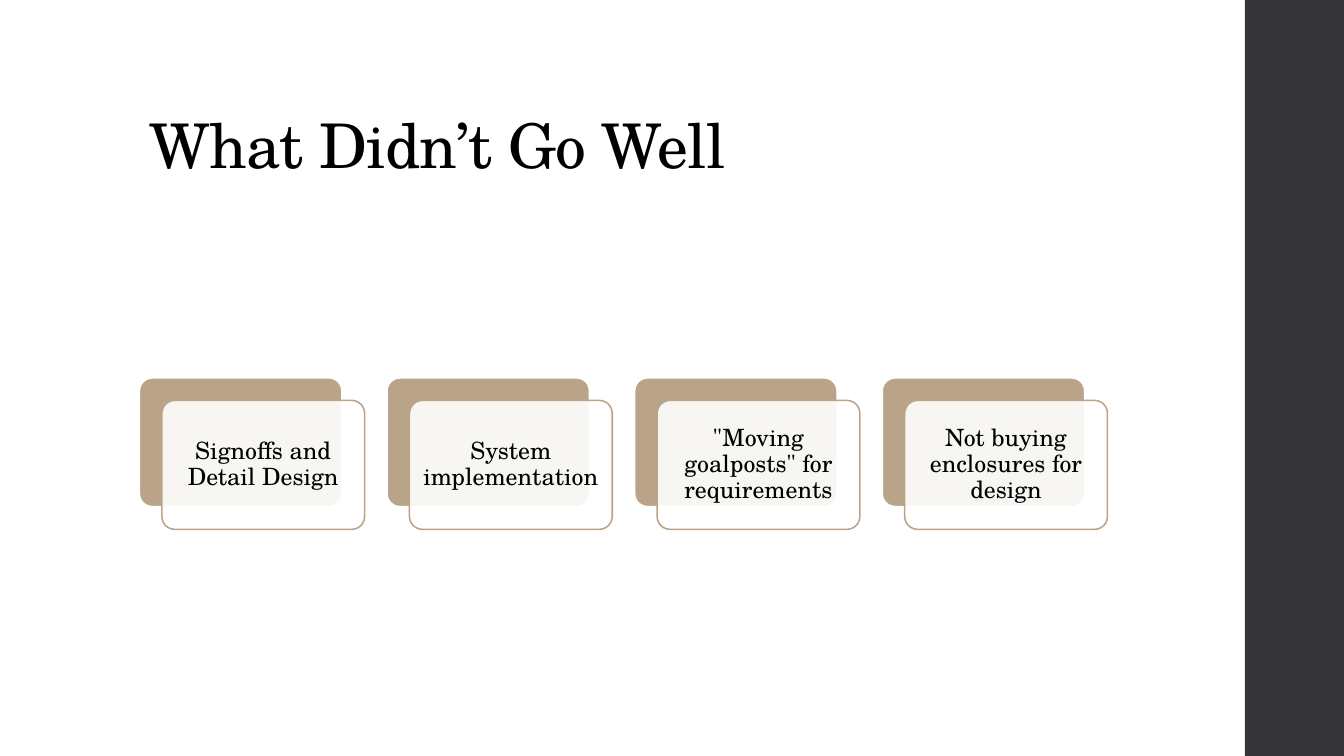
from lxml.etree import SubElement
from pptx import Presentation
from pptx.dml.color import RGBColor
from pptx.enum.shapes import MSO_SHAPE
from pptx.enum.text import MSO_ANCHOR, PP_ALIGN
from pptx.oxml.ns import qn
from pptx.util import Cm, Pt

WHITE = RGBColor(0xFF, 0xFF, 0xFF)
BLACK = RGBColor(0, 0, 0)
TAN = RGBColor(0xB9, 0xA4, 0x89)
CHARCOAL = RGBColor(0x35, 0x35, 0x37)
FONT = "TeX Gyre Schola"

SLIDE_WIDTH, SLIDE_HEIGHT = Cm(33.87), Cm(19.05)
CARD_WIDTH, CARD_HEIGHT = Cm(5.11), Cm(3.25)
CARD_PITCH = Cm(6.24)
CARD_OFFSET = Cm(0.57)

ISSUES = [
    "Signoffs and Detail Design",
    "System implementation",
    '"Moving goalposts" for requirements',
    "Not buying enclosures for design",
]


def write(frame, text, size):
    paragraph = frame.paragraphs[0]
    paragraph.line_spacing = 0.9
    run = paragraph.add_run()
    run.text = text
    run.font.name = FONT
    run.font.size = Pt(size)
    run.font.color.rgb = BLACK
    return paragraph, run


def add_title(slide, left, top, width, height):
    title = slide.shapes.title
    title.left, title.top, title.width, title.height = left, top, width, height
    title.text_frame.vertical_anchor = MSO_ANCHOR.BOTTOM
    paragraph, run = write(title.text_frame, "What Didn’t Go Well", 44)
    paragraph.alignment = PP_ALIGN.LEFT
    run.font._element.set("spc", "-50")


def add_sidebar(slide, left, top, width, height):
    sidebar = slide.shapes.add_shape(MSO_SHAPE.RECTANGLE, left, top, width, height)
    sidebar.shadow.inherit = False
    sidebar.fill.solid()
    sidebar.fill.fore_color.rgb = CHARCOAL
    sidebar.line.fill.background()


def add_panel(slide, left, top, fill, outline, outline_width):
    panel = slide.shapes.add_shape(
        MSO_SHAPE.ROUNDED_RECTANGLE, left, top, CARD_WIDTH, CARD_HEIGHT)
    panel.adjustments[0] = 0.1
    panel.shadow.inherit = False
    panel.fill.solid()
    panel.fill.fore_color.rgb = fill
    panel.line.color.rgb = outline
    panel.line.width = Pt(outline_width)
    return panel


def add_issue(slide, left, top, issue):
    """Place a tan panel with a translucent labelled panel overlapping it."""
    add_panel(slide, left, top, TAN, WHITE, 1.35)
    label = add_panel(slide, left + CARD_OFFSET, top + CARD_OFFSET, WHITE, TAN, 1.1)
    color = label.fill._xPr.find(qn("a:solidFill"))[0]
    SubElement(color, qn("a:alpha")).set("val", "90000")

    frame = label.text_frame
    frame.word_wrap = True
    frame.vertical_anchor = MSO_ANCHOR.MIDDLE
    frame.margin_left = frame.margin_right = Cm(0.18)
    frame.margin_top = frame.margin_bottom = Cm(0.18)
    paragraph, _ = write(frame, issue, 17)
    paragraph.alignment = PP_ALIGN.CENTER


def add_issue_row(slide, left, top):
    for index, issue in enumerate(ISSUES):
        add_issue(slide, left + index * CARD_PITCH, top, issue)


def main():
    presentation = Presentation()
    presentation.slide_width = SLIDE_WIDTH
    presentation.slide_height = SLIDE_HEIGHT
    slide = presentation.slides.add_slide(presentation.slide_layouts[5])
    sidebar_left = Cm(31.37)
    add_sidebar(slide, sidebar_left, 0, SLIDE_WIDTH - sidebar_left, SLIDE_HEIGHT)
    add_title(slide, Cm(3.51), Cm(1.02), Cm(26.92), Cm(3.68))
    add_issue_row(slide, Cm(3.51), Cm(9.52))
    presentation.save("out.pptx")


if __name__ == "__main__":
    main()
